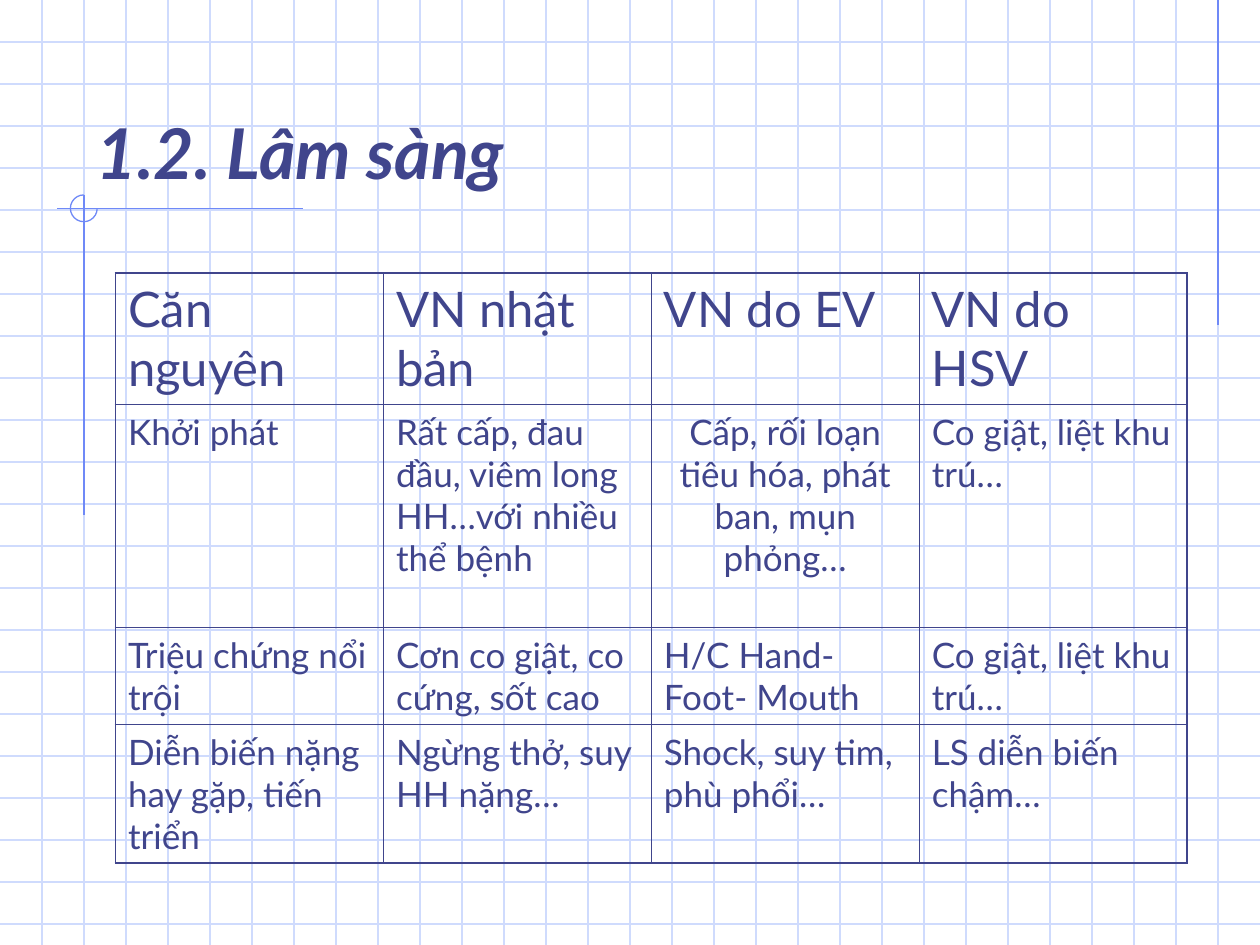
"""Build the clinical comparison slide on its squared-paper ground."""
from dataclasses import dataclass
from typing import Any, NamedTuple

from lxml import etree
from pptx import Presentation
from pptx.dml.color import RGBColor
from pptx.enum.shapes import MSO_CONNECTOR, MSO_SHAPE
from pptx.enum.text import MSO_ANCHOR, PP_ALIGN
from pptx.oxml.ns import qn
from pptx.util import Cm, Pt

STRAIGHT = MSO_CONNECTOR.STRAIGHT
ARC = MSO_SHAPE.ARC
BOTTOM = MSO_ANCHOR.BOTTOM
LEFT, CENTER = PP_ALIGN.LEFT, PP_ALIGN.CENTER
WIDE, HIGH = 25.4, 19.05
STEP = WIDE / 30


@dataclass(frozen=True)
class Theme:
    font: str = "Lato"
    ink: str = "40458C"
    grid: str = "CFDBFD"
    rule: str = "6F89F7"
    title: float = 40
    head: float = 28
    body: float = 20
    line: float = 0.75
    thin: float = 0.45
    thick: float = 1.08


class Rule(NamedTuple):
    x1: float
    y1: float
    x2: float
    y2: float
    color: str


class Row(NamedTuple):
    high: float
    size: float
    gap: float
    texts: tuple[str, ...]


THEME = Theme()
GRID = [Rule(0, i * STEP, WIDE, i * STEP, THEME.grid) for i in range(1, 23)]
GRID += [Rule(i * STEP, 0, i * STEP, HIGH, THEME.grid) for i in range(1, 30)]
RULES = [
    Rule(29 * STEP, 0, 29 * STEP, 6.55, THEME.rule),
    Rule(6.1, 4.2, 1.15, 4.2, THEME.rule),
    Rule(2 * STEP, 3.93, 2 * STEP, 10.39, THEME.rule),
]
ROWS = [
    Row(2.64, THEME.head, 7, ("Căn nguyên", "VN nhật bản", "VN do EV", "VN do HSV")),
    Row(4.5, THEME.body, 5, (
        "Khởi phát",
        "Rất cấp, đau đầu, viêm long HH…với nhiều thể bệnh",
        "Cấp, rối loạn tiêu hóa, phát ban, mụn phỏng…",
        "Co giật, liệt khu trú…",
    )),
    Row(1.95, THEME.body, 5, (
        "Triệu chứng nổi trội",
        "Cơn co giật, co cứng, sốt cao",
        "H/C Hand-Foot- Mouth",
        "Co giật, liệt khu trú…",
    )),
    Row(2.8, THEME.body, 5, (
        "Diễn biến nặng hay gặp, tiến triển",
        "Ngừng thở, suy HH nặng…",
        "Shock, suy tim, phù phổi…",
        "LS diễn biến chậm…",
    )),
]
MIDDLE = (1, 2)


def apply(item: Any, values: dict[str, Any]) -> None:
    """Set each named value on the item."""
    for name, value in values.items():
        setattr(item, name, value)


def write(frame: Any, text: str, size: float, bold: bool = False,
          gap: float = 0, align: Any = LEFT) -> None:
    """Put one styled paragraph in a text frame."""
    para = frame.paragraphs[0]
    apply(para, {"alignment": align, "space_before": Pt(gap)})
    run = para.add_run()
    run.text = text
    apply(run.font, {"name": THEME.font, "size": Pt(size), "bold": bold, "italic": bold})
    run.font.color.rgb = RGBColor.from_string(THEME.ink)


def stroke(line: Any, color: str) -> None:
    """Give a line its colour and width."""
    line.color.rgb = RGBColor.from_string(color)
    line.width = Pt(THEME.line)


def draw_rule(shapes: Any, rule: Rule) -> None:
    """Draw one straight rule without a shadow."""
    ends = [Cm(value) for value in rule[:4]]
    link = shapes.add_connector(STRAIGHT, *ends)
    stroke(link.line, rule.color)
    etree.SubElement(link._element.spPr, qn("a:effectLst"))


def draw_arc(shapes: Any) -> None:
    """Draw the three-quarter ring where the title rules cross."""
    ring = shapes.add_shape(ARC, Cm(1.42), Cm(3.93), Cm(0.54), Cm(0.54))
    ring.adjustments[0] = 0
    ring.adjustments[1] = 162
    ring.shadow.inherit = False
    ring.fill.background()
    stroke(ring.line, THEME.rule)


def draw_title(shapes: Any) -> None:
    """Write the slide title above its rule."""
    box = shapes.add_textbox(Cm(1.7), Cm(0.84), Cm(21.6), Cm(3.18))
    apply(box.text_frame, {"word_wrap": True, "vertical_anchor": BOTTOM})
    write(box.text_frame, "1.2. Lâm sàng", THEME.title, bold=True)


def border(cell: Any, outer: dict[str, bool]) -> None:
    """Edge a cell, thick where it meets the table's rim."""
    props = cell._tc.get_or_add_tcPr()
    for spot, (side, rim) in enumerate(outer.items()):
        width = Pt(THEME.thick if rim else THEME.thin)
        edge = etree.Element(qn(f"a:ln{side}"), w=str(int(width)))
        fill = etree.SubElement(edge, qn("a:solidFill"))
        etree.SubElement(fill, qn("a:srgbClr"), val=THEME.ink)
        props.insert(spot, edge)


def draw_table(shapes: Any, rows: list[Row]) -> None:
    """Draw the comparison table."""
    count, last = len(rows[0].texts), len(rows) - 1
    high = sum(row.high for row in rows)
    frame = shapes.add_table(len(rows), count, Cm(2.33), Cm(5.51), Cm(21.6), Cm(high))
    table = frame.table
    apply(table, {"first_row": False, "horz_banding": False})
    for col in table.columns:
        col.width = Cm(21.6 / count)
    for r, row in enumerate(rows):
        table.rows[r].height = Cm(row.high)
        for c, text in enumerate(row.texts):
            cell = table.cell(r, c)
            cell.fill.background()
            align = CENTER if (r, c) == MIDDLE else LEFT
            write(cell.text_frame, text, row.size, gap=row.gap, align=align)
            border(cell, {"L": c == 0, "R": c == count - 1, "T": r == 0, "B": r == last})


def main() -> None:
    """Assemble and save the deck."""
    deck = Presentation()
    apply(deck, {"slide_width": Cm(WIDE), "slide_height": Cm(HIGH)})
    shapes = deck.slides.add_slide(deck.slide_layouts[6]).shapes
    for rule in GRID + RULES:
        draw_rule(shapes, rule)
    draw_arc(shapes)
    draw_title(shapes)
    draw_table(shapes, ROWS)
    deck.save("out.pptx")


if __name__ == "__main__":
    main()
